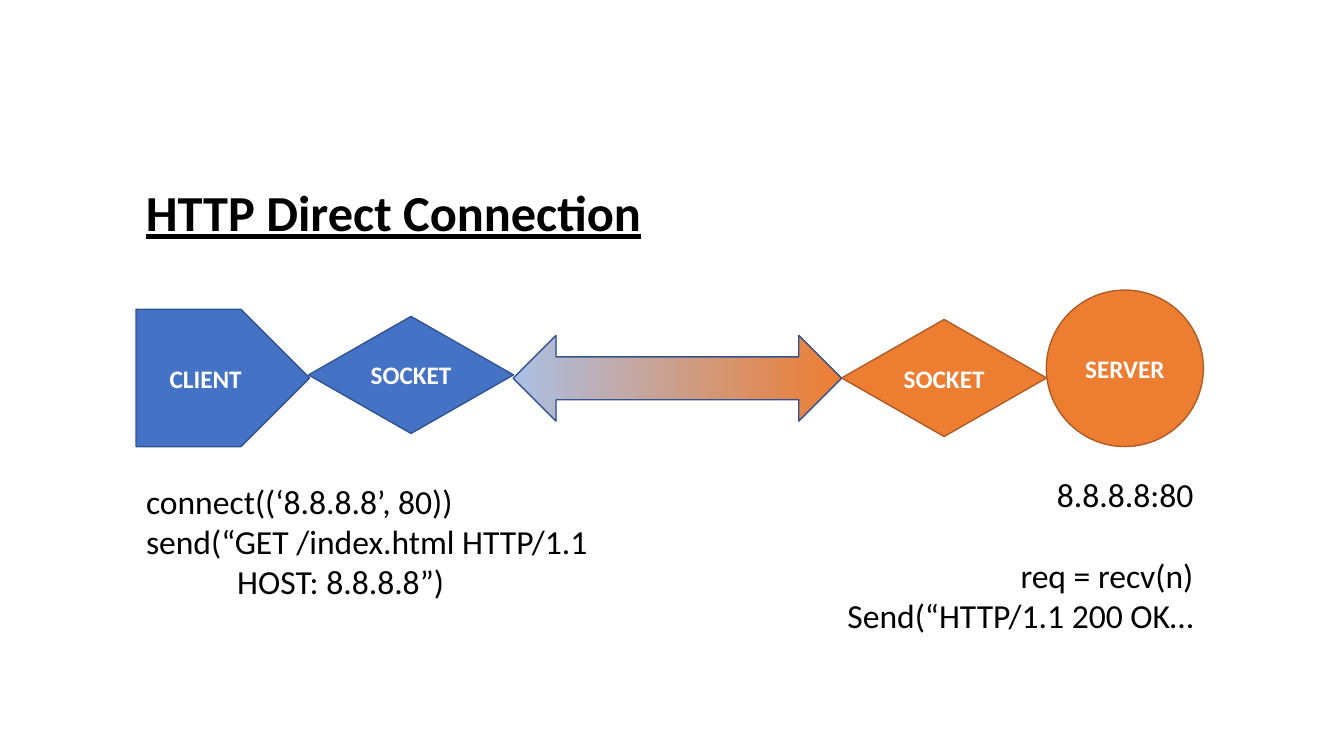
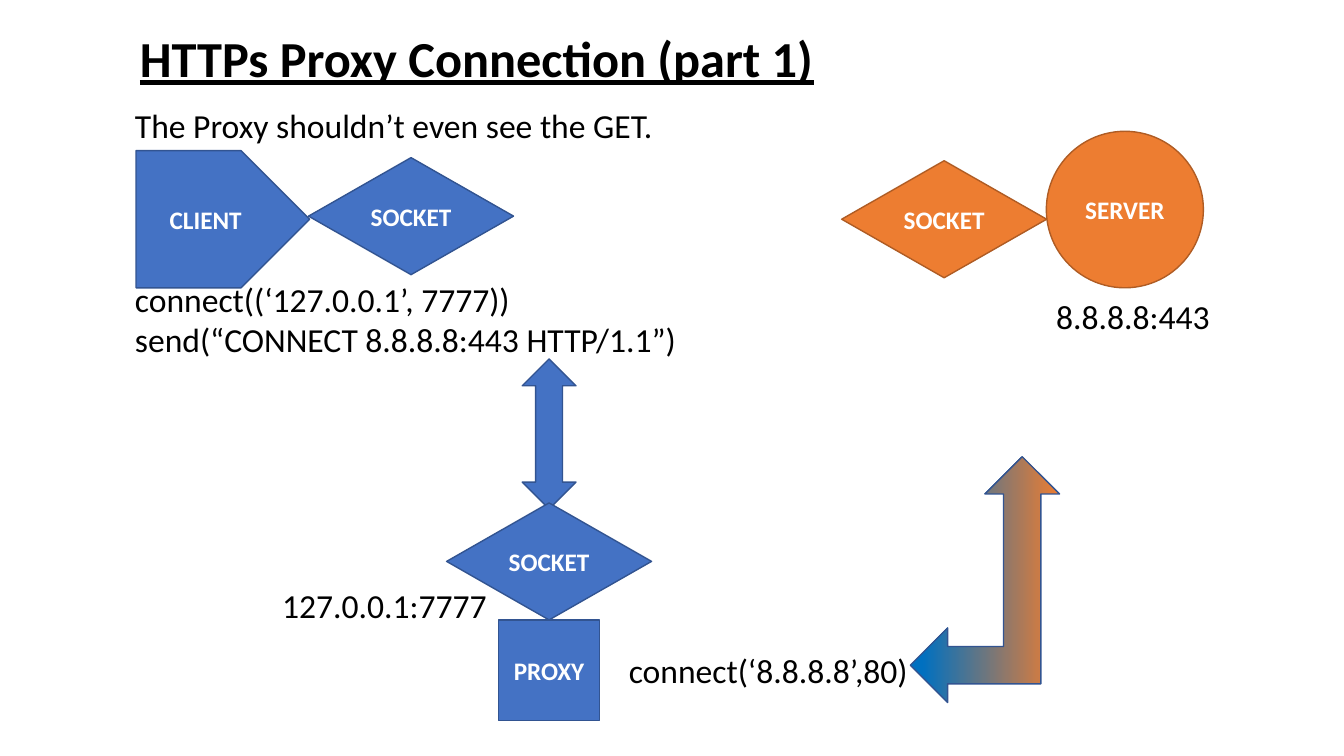
from pptx import Presentation
from pptx.dml.color import RGBColor
from pptx.enum.shapes import MSO_SHAPE as Form
from pptx.enum.text import MSO_ANCHOR, MSO_AUTO_SIZE, PP_ALIGN
from pptx.util import Pt

BLUE = RGBColor(0x44, 0x72, 0xC4)
NAVY = RGBColor(0x32, 0x54, 0x91)
PALE = RGBColor(0xAB, 0xC0, 0xE4)
DEEP = RGBColor(0x00, 0x70, 0xC0)
ORANGE = RGBColor(0xED, 0x7D, 0x31)
RUST = RGBColor(0xAF, 0x5C, 0x24)
BLACK = RGBColor(0, 0, 0)
WHITE = RGBColor(255, 255, 255)
EDGE = {BLUE: NAVY, ORANGE: RUST}


class Deck:
    face = "Calibri"

    def __init__(self):
        self.deck = Presentation()
        self.deck.slide_width = Pt(960)
        self.deck.slide_height = Pt(540)
        self.slide = None

    def page(self):
        self.slide = self.deck.slides.add_slide(self.deck.slide_layouts[6])

    def style(self, para, size, color, align, bold=False, under=None):
        para.alignment = align
        font = para.font
        font.name, font.size, font.bold = self.face, Pt(size), bold
        font.underline = under
        font.color.rgb = color

    def shape(self, form, left, top, width, height, line):
        item = self.slide.shapes.add_shape(
            form, Pt(left), Pt(top), Pt(width), Pt(height))
        item.shadow.inherit = False
        item.line.color.rgb = line
        item.line.width = Pt(1)
        return item

    def node(self, form, left, top, width, height, color, label=""):
        item = self.shape(form, left, top, width, height, EDGE[color])
        item.fill.solid()
        item.fill.fore_color.rgb = color
        if label:
            frame = item.text_frame
            frame.word_wrap = True
            frame.vertical_anchor = MSO_ANCHOR.MIDDLE
            frame.text = label
            self.style(frame.paragraphs[0], 18, WHITE, PP_ALIGN.CENTER, True)

    def socket(self, left, top, color):
        self.node(Form.FLOWCHART_DECISION, left, top, 146.4, 83.6, color,
                  "SOCKET")

    def blend(self, form, left, top, width, height, start, first=0):
        item = self.shape(form, left, top, width, height, NAVY)
        item.fill.gradient()
        item.fill.gradient_angle = 0
        stops = item.fill.gradient_stops
        for stop, color, place in zip(stops, (start, ORANGE), (first, 1)):
            stop.color.rgb = color
            stop.position = place

    def text(self, left, top, width, height, lines, size=24,
             align=PP_ALIGN.LEFT, wrap=False, bold=False, under=None):
        box = self.slide.shapes.add_textbox(
            Pt(left), Pt(top), Pt(width), Pt(height))
        frame = box.text_frame
        frame.word_wrap = wrap
        frame.auto_size = MSO_AUTO_SIZE.SHAPE_TO_FIT_TEXT
        frame.text = "\n".join(lines)
        for para in frame.paragraphs:
            self.style(para, size, BLACK, align, bold, under)
        return frame

    def title(self, left, top, width, words):
        self.text(left, top, width, 51, [words], 36, bold=True, under=True)

    def note(self, left, top, height, lines):
        return self.text(left, top, 275, height, lines,
                         align=PP_ALIGN.RIGHT, wrap=True)

    def peers(self, top):
        """Client and server, each with its socket."""
        self.socket(601.2, top + 21, ORANGE)
        self.node(Form.PENTAGON, 97.2, top + 13.8, 124, 98, BLUE, "CLIENT")
        self.node(Form.OVAL, 747.4, top, 112.2, 111.8, ORANGE, "SERVER")
        self.socket(220.4, top + 18.8, BLUE)


def main():
    deck = Deck()

    # Direct connection
    deck.page()
    deck.peers(207.2)
    deck.blend(Form.LEFT_RIGHT_ARROW, 366.6, 239.6, 234.6, 61.2, PALE)
    deck.title(97.2, 126, 372.2, "HTTP Direct Connection")
    reply = deck.note(584.6, 334.8, 124,
                      ["8.8.8.8:80", "req = recv(n)",
                       "Send(“HTTP/1.1 200 OK…"])
    reply.paragraphs[1].space_before = Pt(29)
    deck.text(97.2, 339.8, 332.6, 94.4,
              ["connect((‘8.8.8.8’, 80))",
               "send(“GET /index.html HTTP/1.1",
               "            HOST: 8.8.8.8”)"])

    # Proxy connection
    deck.page()
    deck.peers(93.8)
    deck.title(92.9, 15.8, 508.3, "HTTPs Proxy Connection (part 1)")
    deck.text(89.3, 71.3, 384.5, 36,
              ["The Proxy shouldn’t even see the GET."])
    deck.note(596.2, 208.1, 36, ["8.8.8.8:443"])
    deck.text(89.3, 195.8, 404.6, 65.5,
              ["connect((‘127.0.0.1’, 7777))",
               "send(“CONNECT 8.8.8.8:443 HTTP/1.1”)"])

    # Proxy with its socket and arrows
    deck.node(Form.RECTANGLE, 356.2, 442.8, 72, 72, BLUE, "PROXY")
    deck.node(Form.UP_DOWN_ARROW, 373, 256.4, 38.4, 107.2, BLUE)
    deck.socket(319, 359.2, BLUE)
    deck.text(194.4, 414, 161.3, 36, ["127.0.0.1:7777"])
    deck.text(442.1, 460.8, 215.3, 36, ["connect(‘8.8.8.8’,80)"])
    deck.blend(Form.LEFT_UP_ARROW, 650.2, 326.2, 106.6, 175.6, DEEP, 0.08)

    deck.deck.save("out.pptx")


if __name__ == "__main__":
    main()
